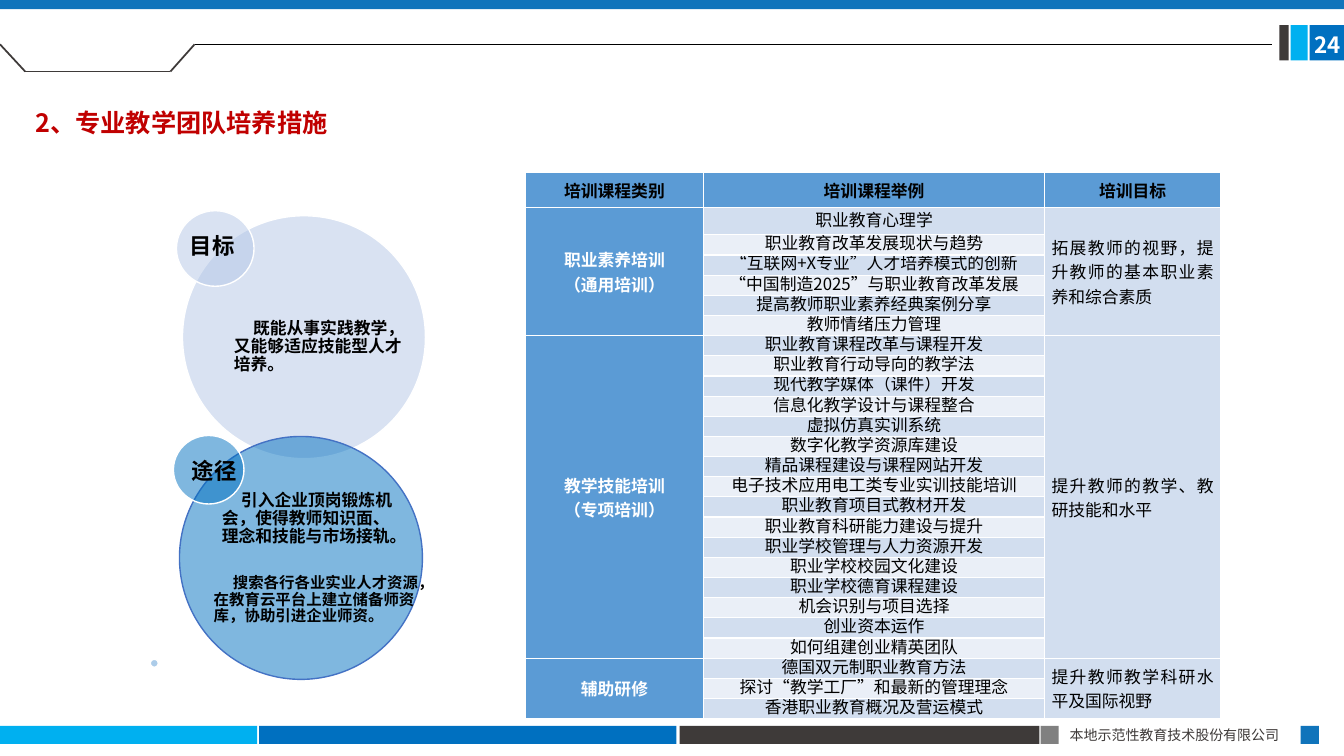
"""Build the slide on training measures for the teaching team."""
from lxml.etree import SubElement
from pptx import Presentation
from pptx.dml.color import RGBColor
from pptx.enum.shapes import MSO_CONNECTOR, MSO_SHAPE
from pptx.enum.text import MSO_ANCHOR, MSO_AUTO_SIZE, PP_ALIGN
from pptx.oxml.ns import qn
from pptx.util import Inches, Pt

WHITE = RGBColor(0xFF, 0xFF, 0xFF)
BLACK = RGBColor(0, 0, 0)
RED = RGBColor(0xC0, 0, 0)
CHARCOAL = RGBColor(0x3E, 0x3A, 0x39)
GRAY = RGBColor(0x80, 0x80, 0x80)
CYAN = RGBColor(0, 0xB0, 0xF0)
BLUE = RGBColor(0, 0x70, 0xC0)
BAR_BLUE = RGBColor(0x10, 0x74, 0xBB)
OUTLINE_BLUE = RGBColor(0x44, 0x72, 0xC4)
PALE_BLUE = RGBColor(0xB4, 0xC7, 0xE7)
TABLE_BLUE = RGBColor(0x5B, 0x9B, 0xD5)
BAND_DARK = RGBColor(0xD2, 0xDE, 0xEF)
BAND_LIGHT = RGBColor(0xEA, 0xEF, 0xF7)
FONT = "Noto Sans CJK SC"
LEFT, CENTER, JUSTIFY = PP_ALIGN.LEFT, PP_ALIGN.CENTER, PP_ALIGN.JUSTIFY

presentation = Presentation()
presentation.slide_width = Inches(13.33)
presentation.slide_height = Inches(7.5)
slide = presentation.slides.add_slide(presentation.slide_layouts[5])
shapes = slide.shapes


def write(frame, text, size, color, bold=True, align=CENTER, spacing=1.0, indent=0):
    """Fill a text frame, one paragraph for each line of the text."""
    for index, line in enumerate(text.split("\n")):
        paragraph = frame.paragraphs[0] if index == 0 else frame.add_paragraph()
        paragraph.alignment = align
        paragraph.line_spacing = spacing
        if indent:
            paragraph._p.get_or_add_pPr().set("indent", str(Inches(indent)))
        run = paragraph.add_run()
        run.text = line
        for name, value in {"name": FONT, "size": Pt(size), "bold": bold}.items():
            setattr(run.font, name, value)
        run.font.color.rgb = color
        SubElement(run._r.get_or_add_rPr(), qn("a:ea"), typeface=FONT)


def add_block(kind, box, fill, outline=None):
    """Add a plain shape; one with an outline is half transparent."""
    shape = shapes.add_shape(kind, *map(Inches, box))
    shape.shadow.inherit = False
    shape.fill.solid()
    shape.fill.fore_color.rgb = fill
    if outline is None:
        shape.line.fill.background()
    else:
        shape.line.color.rgb = outline
        shape.line.width = Pt(1)
        color = shape._element.spPr.find(qn("a:solidFill"))[0]
        SubElement(color, qn("a:alpha"), val="50000")


bars = [
    (0, 7.2, 2.55, 0.18, CYAN), (2.57, 7.2, 4.14, 0.18, BLUE),
    (6.74, 7.2, 3.57, 0.18, CHARCOAL), (10.32, 7.2, 0.18, 0.18, GRAY),
    (12.9, 7.2, 0.18, 0.18, BAR_BLUE), (12.99, 0.25, 0.34, 0.35, BLUE),
    (12.8, 0.25, 0.17, 0.35, CYAN), (12.69, 0.25, 0.09, 0.35, CHARCOAL),
    (0, 0, 13.33, 0.09, BAR_BLUE),
]
for *box, fill in bars:
    add_block(MSO_SHAPE.RECTANGLE, box, fill)

header_points = [(0, 0.44), (0.25, 0.71), (1.69, 0.71), (1.93, 0.44), (12.62, 0.44)]
header_lines = [(CHARCOAL, 1.25)] * 3 + [(BLACK, 0.5)]
for start, end, (color, width) in zip(header_points, header_points[1:], header_lines):
    connector = shapes.add_connector(MSO_CONNECTOR.STRAIGHT, *map(Inches, start + end))
    connector.line.color.rgb = color
    connector.line.width = Pt(width)
    SubElement(connector._element.spPr, qn("a:effectLst"))

title = shapes.title
for name, value in {"left": 0.25, "top": 0.92, "width": 3.4, "height": 0.46}.items():
    setattr(title, name, Inches(value))
title_format = {"auto_size": MSO_AUTO_SIZE.NONE, "vertical_anchor": MSO_ANCHOR.TOP,
                "word_wrap": True}
for name, value in title_format.items():
    setattr(title.text_frame, name, value)
write(title.text_frame, "2、专业教学团队培养措施", 18, RED, align=LEFT, spacing=1.3)

groups = [
    ("职业素养培训\n（通用培训）", "拓展教师的视野，提升教师的基本职业素养和综合素质", [
        "职业教育心理学", "职业教育改革发展现状与趋势",
        "“互联网+X专业”人才培养模式的创新", "“中国制造2025”与职业教育改革发展",
        "提高教师职业素养经典案例分享", "教师情绪压力管理"]),
    ("教学技能培训\n（专项培训）", "提升教师的教学、教研技能和水平", [
        "职业教育课程改革与课程开发", "职业教育行动导向的教学法",
        "现代教学媒体（课件）开发", "信息化教学设计与课程整合",
        "虚拟仿真实训系统", "数字化教学资源库建设",
        "精品课程建设与课程网站开发", "电子技术应用电工类专业实训技能培训",
        "职业教育项目式教材开发", "职业教育科研能力建设与提升",
        "职业学校管理与人力资源开发", "职业学校校园文化建设",
        "职业学校德育课程建设", "机会识别与项目选择",
        "创业资本运作", "如何组建创业精英团队"]),
    ("辅助研修", "提升教师教学科研水平及国际视野", [
        "德国双元制职业教育方法", "探讨“教学工厂”和最新的管理理念",
        "香港职业教育概况及营运模式"]),
]
row_heights = [0.35, 0.27] + [0.2] * 24
table = shapes.add_table(len(row_heights), 3, Inches(5.21), Inches(1.71),
                         Inches(6.9), Inches(sum(row_heights))).table
table.horz_banding = False
for column, width in zip(table.columns, [1.77, 3.38, 1.75]):
    column.width = Inches(width)
for row, height in zip(table.rows, row_heights):
    row.height = Inches(height)
cell_format = {"margin_left": Inches(0.07), "margin_right": Inches(0.07),
               "margin_top": 0, "margin_bottom": 0,
               "vertical_anchor": MSO_ANCHOR.MIDDLE}
for row_index, row in enumerate(table.rows):
    band = BAND_DARK if row_index % 2 else BAND_LIGHT
    fills = [TABLE_BLUE, band, BAND_DARK] if row_index else [TABLE_BLUE] * 3
    for cell, fill in zip(row.cells, fills):
        for name, value in cell_format.items():
            setattr(cell, name, value)
        cell.fill.solid()
        cell.fill.fore_color.rgb = fill

for column_index, heading in enumerate(["培训课程类别", "培训课程举例", "培训目标"]):
    write(table.cell(0, column_index).text_frame, heading, 12, BLACK)
first_row = 1
for category, goal, courses in groups:
    last_row = first_row + len(courses) - 1
    for column_index in (0, 2):
        table.cell(first_row, column_index).merge(table.cell(last_row, column_index))
    write(table.cell(first_row, 0).text_frame, category, 12, WHITE)
    write(table.cell(first_row, 2).text_frame, goal, 12, BLACK, False, JUSTIFY)
    for row_index, course in enumerate(courses, first_row):
        write(table.cell(row_index, 1).text_frame, course, 12, BLACK, False,
              spacing=Pt(14))
    first_row = last_row + 1

circles = [
    (1.81, 2.14, 2.41, 2.41, PALE_BLUE, WHITE), (1.75, 2.09, 0.77, 0.75, PALE_BLUE, WHITE),
    (1.78, 4.33, 2.41, 2.41, BLUE, OUTLINE_BLUE), (1.72, 4.32, 0.7, 0.68, BLUE, WHITE),
    (1.49, 6.54, 0.08, 0.08, TABLE_BLUE, WHITE),
]
for *box, fill, outline in circles:
    add_block(MSO_SHAPE.OVAL, box, fill, outline)

label = {"size": 16, "color": BLACK, "spacing": 0.9}
body = {"size": 12, "color": BLACK, "align": LEFT, "spacing": 0.9, "indent": 0.19}
texts = [
    ((1.76, 2.24, 0.69, 0.43), "目标", label),
    ((2.32, 2.63, 1.72, 1.62), "既能从事实践教学，又能够适应技能型人才培养。", body),
    ((1.9, 4.47, 0.45, 0.43), "途径", label),
    ((2.2, 4.92, 1.82, 0.46), "引入企业顶岗锻炼机会，使得教师知识面、理念和技能与市场接轨。", body),
    ((2.12, 5.77, 2.1, 0.37),
     "搜索各行各业实业人才资源，在教育云平台上建立储备师资库，协助引进企业师资。",
     {**body, "size": 11}),
    ((13.01, 0.26, 0.32, 0.37), "24", {"size": 16, "color": WHITE}),
    ((10.61, 7.16, 2.2, 0.27), "本地示范性教育技术股份有限公司",
     {"size": 10, "color": CHARCOAL, "bold": False, "align": JUSTIFY}),
]
text_format = {"margin_left": 0, "margin_right": 0, "margin_top": Inches(0.02),
               "margin_bottom": Inches(0.02), "word_wrap": True,
               "vertical_anchor": MSO_ANCHOR.MIDDLE}
for box, text, style in texts:
    frame = shapes.add_textbox(*map(Inches, box)).text_frame
    for name, value in text_format.items():
        setattr(frame, name, value)
    write(frame, text, **style)

presentation.save("out.pptx")
